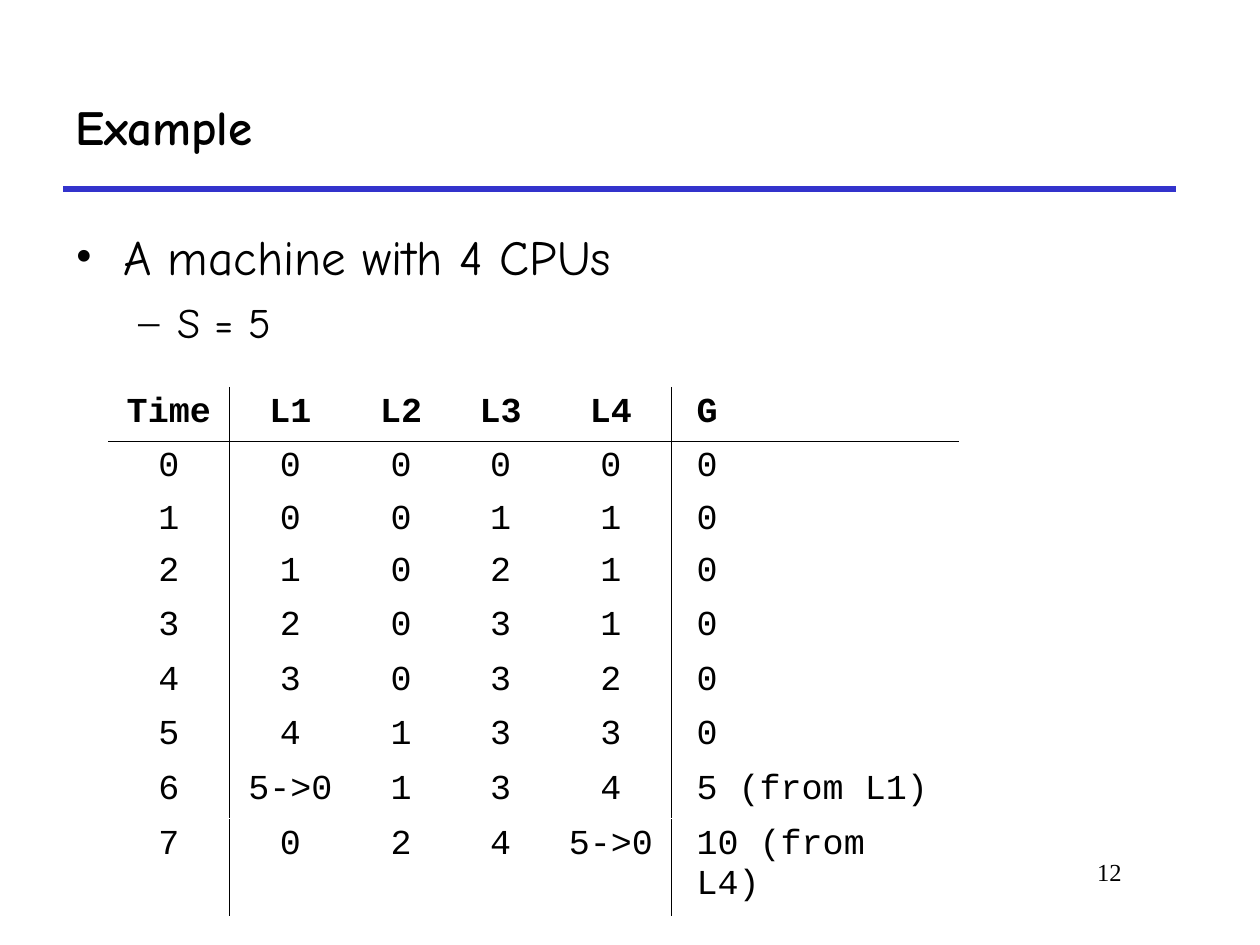
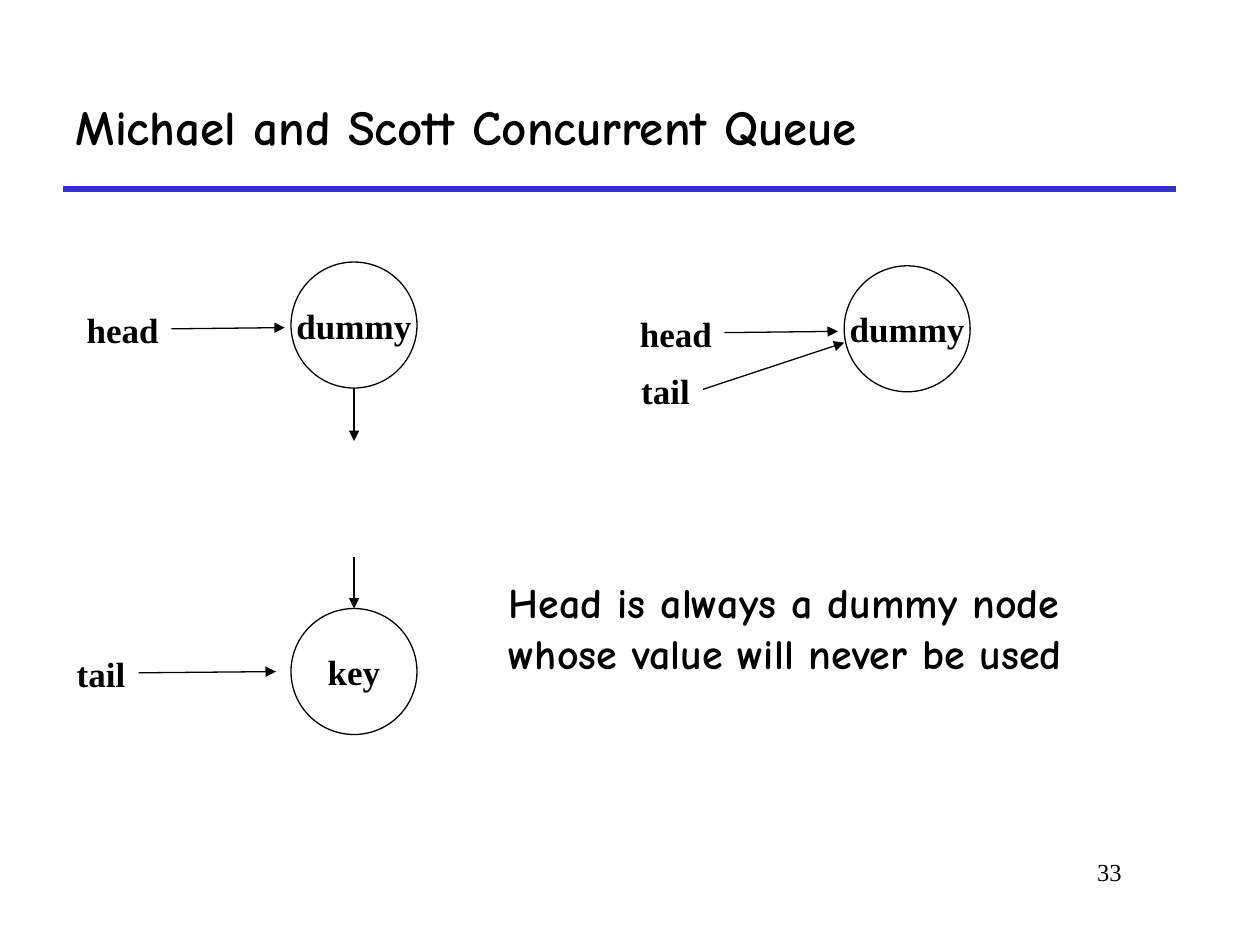
from pptx import Presentation
from pptx.dml.color import RGBColor
from pptx.enum.shapes import MSO_CONNECTOR, MSO_SHAPE
from pptx.enum.text import MSO_ANCHOR, MSO_AUTO_SIZE, PP_ALIGN
from pptx.oxml import parse_xml
from pptx.oxml.ns import nsdecls
from pptx.util import Inches, Pt

BLACK, WHITE, RULE_BLUE = "000000", "FFFFFF", "3333CC"
HAND, SERIF, MONO = "Comic Neue", "Times New Roman", "Courier New"
NO_STYLE = "{2D5ABB26-0587-4C30-8999-92F81FD0307C}"
LABEL_HEIGHT = 0.44
NODE_SIZE = 1
COLUMN_WIDTHS = [0.96, 0.97, 0.79, 0.79, 0.96, 2.28]
ROW_HEIGHT = 0.43
LAST_ROW_HEIGHT = 0.77
HEADER = ["Time", "L1", "L2", "L3", "L4", "G"]
START = ["0", "0", "0", "0", "0", "0"]
LAST = ["7", "0", "2", "4", "5->0", "10 (from L4)"]
COUNTER_STEPS = [
    (0, [HEADER]),
    (0.43, [START]),
    (0.85, [["1", "0", "0", "1", "1", "0"]]),
    (1.26, [["2", "1", "0", "2", "1", "0"],
            ["3", "2", "0", "3", "1", "0"],
            ["4", "3", "0", "3", "2", "0"]]),
    (2.56, [["5", "4", "1", "3", "3", "0"]]),
    (2.99, [["6", "5->0", "1", "3", "4", "5 (from L1)"]]),
    (3.43, [LAST]),
]


def color(value):
    return RGBColor.from_string(value)


def element(xml):
    return parse_xml(xml.replace(" ", f" {nsdecls('a')} ", 1))


def style(paragraph, font, size, bold=False, align=PP_ALIGN.LEFT):
    paragraph.alignment = align
    paragraph.font.name = font
    paragraph.font.size = Pt(size)
    paragraph.font.bold = bold
    paragraph.font.color.rgb = color(BLACK)


def add_text(slide, box, text, font, size, bold=False, align=PP_ALIGN.LEFT, wrap=True):
    shape = slide.shapes.add_textbox(*map(Inches, box))
    shape.text_frame.word_wrap = wrap
    if not wrap:
        shape.text_frame.auto_size = MSO_AUTO_SIZE.SHAPE_TO_FIT_TEXT
    shape.text_frame.text = text
    for paragraph in shape.text_frame.paragraphs:
        style(paragraph, font, size, bold, align)
    return shape


def add_line(slide, start, end, line_color=BLACK, width=0.75, arrow=True):
    line = slide.shapes.add_connector(
        MSO_CONNECTOR.STRAIGHT, *map(Inches, (*start, *end)))
    line.line.color.rgb = color(line_color)
    line.line.width = Pt(width)
    properties = line._element.spPr
    if arrow:
        properties.ln.append(element('<a:tailEnd type="triangle"/>'))
    properties.append(element("<a:effectLst />"))


def add_slide(presentation, title, number):
    slide = presentation.slides.add_slide(presentation.slide_layouts[5])
    add_line(slide, (0.5, 1.5), (9.33, 1.5), RULE_BLUE, 3, arrow=False)
    add_text(slide, (7.58, 6.75, 1.42, 0.5), number, SERIF, 14, align=PP_ALIGN.RIGHT)
    shape = slide.shapes.title
    shape.left, shape.top, shape.width, shape.height = map(Inches, (0.5, 0.5, 8.83, 1))
    shape.text_frame.text = title
    shape.text_frame.vertical_anchor = MSO_ANCHOR.MIDDLE
    style(shape.text_frame.paragraphs[0], HAND, 28, bold=True)
    return slide


def add_bullets(slide, box, items):
    text = "\n".join(item[0] for item in items)
    frame = add_text(slide, box, text, HAND, 28).text_frame
    for paragraph, (_, bullet, size, margin, hanging, space) in zip(frame.paragraphs, items):
        paragraph.font.size = Pt(size)
        paragraph.space_before = Pt(space)
        properties = paragraph._p.get_or_add_pPr()
        properties.set("marL", str(Inches(margin)))
        properties.set("indent", str(-Inches(hanging)))
        for xml in (f'<a:buFont typeface="{SERIF}"/>', f'<a:buChar char="{bullet}"/>'):
            properties.insert_element_before(
                element(xml), "a:tabLst", "a:defRPr", "a:extLst")


def add_borders(cell, drawn_sides):
    line_fill = f'<a:solidFill><a:srgbClr val="{BLACK}"/></a:solidFill>'
    for side in "LRTB":
        fill = line_fill if side in drawn_sides else "<a:noFill/>"
        cell._tc.get_or_add_tcPr().append(
            element(f'<a:ln{side} w="{Pt(0.45)}">{fill}</a:ln{side}>'))


def border_sides(values, column):
    rules = {"L": column in (1, 5), "R": column in (0, 4),
             "T": values is START, "B": values is HEADER}
    return [side for side, drawn in rules.items() if drawn]


def add_counter_table(slide, left, top, rows):
    heights = [LAST_ROW_HEIGHT if values is LAST else ROW_HEIGHT for values in rows]
    box = (left, top, sum(COLUMN_WIDTHS), sum(heights))
    table = slide.shapes.add_table(
        len(rows), len(COLUMN_WIDTHS), *map(Inches, box)).table
    table.first_row = table.horz_banding = False
    table._tbl.tblPr[0].text = NO_STYLE
    for column, width in zip(table.columns, COLUMN_WIDTHS):
        column.width = Inches(width)
    for row, height in zip(table.rows, heights):
        row.height = Inches(height)
    for row, values in enumerate(rows):
        for column, value in enumerate(values):
            is_global = column == len(values) - 1
            cell = table.cell(row, column)
            cell.text = value
            cell.margin_left = Inches(0.2 if is_global else 0.1)
            style(cell.text_frame.paragraphs[0], MONO, 20, bold=values is HEADER,
                  align=PP_ALIGN.LEFT if is_global else PP_ALIGN.CENTER)
            add_borders(cell, border_sides(values, column))
            cell.fill.solid()
            cell.fill.fore_color.rgb = color(WHITE)


def add_counter_steps(slide, left, top):
    for offset, rows in COUNTER_STEPS:
        add_counter_table(slide, left, top + offset, rows)


def add_node(slide, left, top, text):
    node = slide.shapes.add_shape(
        MSO_SHAPE.OVAL, *map(Inches, (left, top, NODE_SIZE, NODE_SIZE)))
    node.shadow.inherit = False
    node.fill.background()
    node.line.color.rgb = color(BLACK)
    node.line.width = Pt(0.75)
    frame = node.text_frame
    frame.word_wrap = False
    frame.vertical_anchor = MSO_ANCHOR.MIDDLE
    frame.text = text
    style(frame.paragraphs[0], SERIF, 20, bold=True, align=PP_ALIGN.CENTER)


def add_label(slide, left, top, width, text):
    add_text(slide, (left, top, width, LABEL_HEIGHT), text, SERIF, 20, bold=True, wrap=False)


def add_queue_head(slide, left, top):
    add_label(slide, left, top + 0.32, 0.77, "head")
    add_line(slide, (left + 0.77, top + 0.53), (left + 1.67, top + 0.52))
    add_node(slide, left + 1.72, top, "dummy")


def add_filled_queue(slide, left, top):
    center = left + 2.22
    key_top = top + 2.75
    add_queue_head(slide, left, top)
    add_line(slide, (center, top + NODE_SIZE), (center, top + 1.42))
    add_line(slide, (center, key_top - 0.41), (center, key_top))
    add_node(slide, left + 1.72, key_top, "key")
    add_label(slide, left - 0.08, key_top + 0.3, 0.59, "tail")
    add_line(slide, (left + 0.51, key_top + 0.51), (left + 1.6, key_top + 0.5))


def add_empty_queue(slide, left, top):
    add_queue_head(slide, left, top)
    add_label(slide, left + 0.01, top + 0.77, 0.59, "tail")
    add_line(slide, (left + 0.6, top + 0.98), (left + 1.72, top + 0.61))


def build_example(presentation):
    slide = add_slide(presentation, "Example", "12")
    add_bullets(slide, (0.5, 1.75, 9, 5.18), [
        ("A machine with 4 CPUs", "•", 28, 0.38, 0.38, 7),
        ("S = 5", "–", 24, 0.81, 0.31, 6),
    ])
    add_counter_steps(slide, 0.86, 3.07)


def build_queue(presentation):
    slide = add_slide(presentation, "Michael and Scott Concurrent Queue", "33")
    add_filled_queue(slide, 0.59, 2.08)
    add_empty_queue(slide, 4.98, 2.11)
    add_text(slide, (3.94, 4.53, 5.44, 0.9),
             "Head is always a dummy node whose value will never be used",
             HAND, 24, bold=True)


def main():
    presentation = Presentation()
    presentation.slide_width = Inches(10)
    presentation.slide_height = Inches(7.5)
    build_example(presentation)
    build_queue(presentation)
    presentation.save("out.pptx")


if __name__ == "__main__":
    main()
